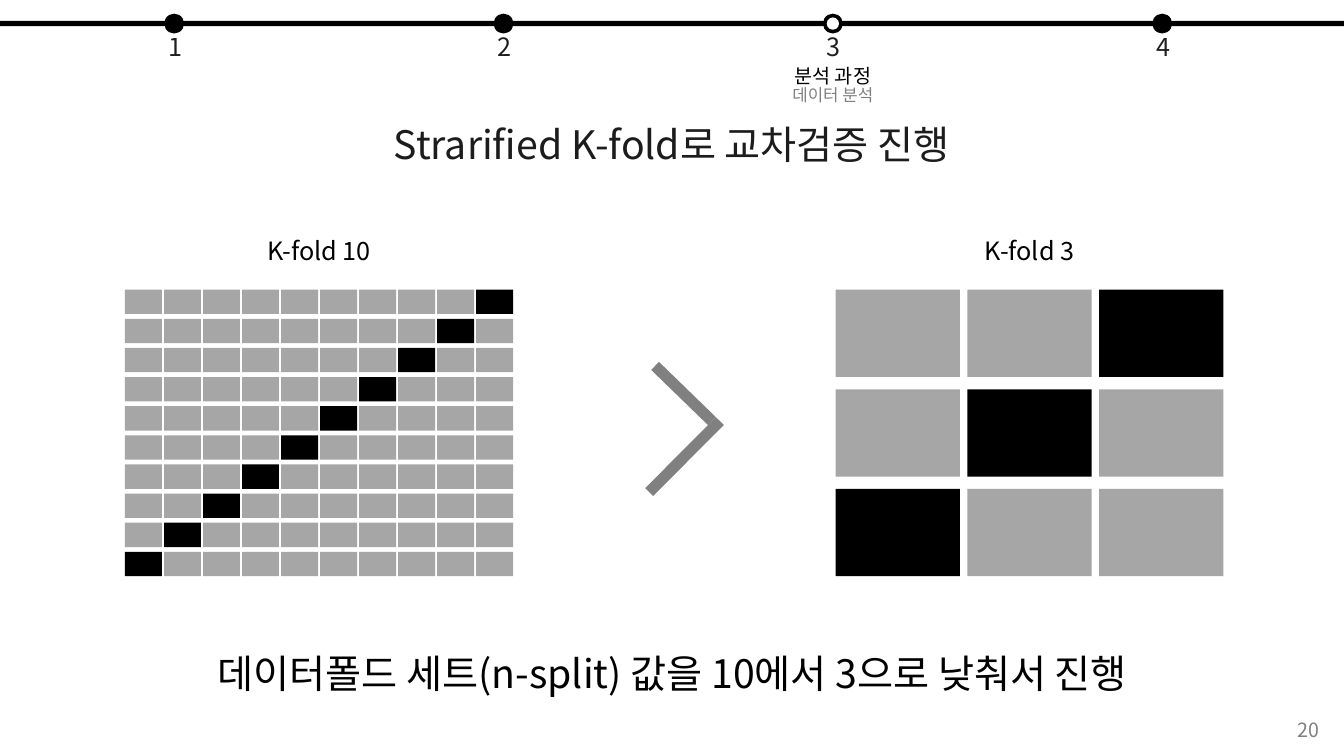
from dataclasses import dataclass
from typing import NamedTuple

from lxml import etree
from pptx import Presentation
from pptx.dml.color import RGBColor
from pptx.enum.shapes import MSO_CONNECTOR, MSO_SHAPE
from pptx.enum.text import MSO_ANCHOR, MSO_AUTO_SIZE, PP_ALIGN
from pptx.oxml.ns import qn
from pptx.util import Cm, Pt

RECTANGLE, OVAL = MSO_SHAPE.RECTANGLE, MSO_SHAPE.OVAL
STRAIGHT = MSO_CONNECTOR.STRAIGHT
MIDDLE = MSO_ANCHOR.MIDDLE
GROW = MSO_AUTO_SIZE.SHAPE_TO_FIT_TEXT
CENTER, RIGHT = PP_ALIGN.CENTER, PP_ALIGN.RIGHT
TITLE_ONLY = 5


@dataclass(frozen=True)
class Theme:
    font: str = "Noto Sans CJK KR"
    black: str = "000000"
    white: str = "FFFFFF"
    title_ink: str = "1D1C1D"
    muted: str = "808080"
    train: str = "A6A6A6"
    headline: int = 28
    label: int = 18
    small: int = 14
    tiny: int = 12


class Box(NamedTuple):
    left: float
    top: float
    width: float
    height: float

    def lengths(self):
        return [Cm(value) for value in self]


THEME = Theme()


def write_text(holder, text, size=THEME.label, color=THEME.black, align=CENTER,
               wrap=True, alpha=None):
    frame = holder.text_frame
    frame.word_wrap = wrap
    frame.auto_size = GROW
    frame.vertical_anchor = MIDDLE
    para = frame.paragraphs[0]
    para.alignment = align
    span = para.add_run()
    span.text = text
    span.font.size = Pt(size)
    span.font.name = THEME.font
    span.font.color.rgb = RGBColor.from_string(color)
    properties = span.font._element
    etree.SubElement(properties, qn("a:ea"), typeface=THEME.font)
    if alpha is not None:
        tint = properties.find(".//" + qn("a:srgbClr"))
        etree.SubElement(tint, qn("a:alpha"), val=str(alpha * 1000))


def add_text(page, box, text, **formatting):
    write_text(page.shapes.add_textbox(*box.lengths()), text, **formatting)


def add_filled(page, kind, box, color):
    shape = page.shapes.add_shape(kind, *box.lengths())
    shape.shadow.inherit = False
    shape.fill.solid()
    shape.fill.fore_color.rgb = RGBColor.from_string(color)
    shape.line.fill.background()


def add_dot(page, center_x, center_y, size, color):
    box = Box(center_x - size / 2, center_y - size / 2, size, size)
    add_filled(page, OVAL, box, color)


def add_progress(page, box, current, section, topic):
    first, step = 4.39, 8.3
    center_y = box.top + box.height / 2
    add_filled(page, RECTANGLE, box, THEME.black)
    for number in range(1, 5):
        center_x = box.left + first + (number - 1) * step
        add_dot(page, center_x, center_y, 0.5, THEME.black)
        add_text(page, Box(center_x - 0.4, center_y + 0.07, 0.8, 1.02),
                 str(number), wrap=False, alpha=87)
        if number == current:
            add_dot(page, center_x, center_y, 0.31, THEME.white)
            add_text(page, Box(center_x - 1.35, center_y + 0.88, 2.7, 0.86),
                     section, size=THEME.small, wrap=False)
            add_text(page, Box(center_x - 1.35, center_y + 1.41, 2.7, 0.76),
                     topic, size=THEME.tiny, color=THEME.muted, wrap=False)


def add_fold_grid(page, box, folds, column_gap, row_gap):
    caption_width = 4.65
    add_text(page, Box(box.left + (box.width - caption_width) / 2, box.top - 1.5,
                       caption_width, 1.02), f"K-fold {folds}")
    width = (box.width - (folds - 1) * column_gap) / folds
    height = (box.height - (folds - 1) * row_gap) / folds
    for row in range(folds):
        for column in range(folds):
            held_out = row + column == folds - 1
            cell = Box(box.left + column * (width + column_gap),
                       box.top + row * (height + row_gap), width, height)
            add_filled(page, RECTANGLE, cell,
                       THEME.black if held_out else THEME.train)


def add_chevron(page, box):
    right, bottom = box.left + box.width, box.top + box.height
    middle = box.top + 1.39
    strokes = [(box.left + 0.15, box.top, right - 0.2, middle),
               (box.left, bottom, right, middle)]
    for stroke in strokes:
        line = page.shapes.add_connector(STRAIGHT, *[Cm(value) for value in stroke])
        line.line.color.rgb = RGBColor.from_string(THEME.muted)
        line.line.width = Pt(8)
        etree.SubElement(line._element.spPr, qn("a:effectLst"))


def add_title(page, box, text):
    title = page.shapes.title
    title.left, title.top, title.width, title.height = box.lengths()
    write_text(title, text, size=THEME.headline, color=THEME.title_ink)


def build_fold_slide(deck):
    page = deck.slides.add_slide(deck.slide_layouts[TITLE_ONLY])
    add_progress(page, Box(0, 0.53, 33.87, 0.13), 3, "분석 과정", "데이터 분석")
    add_title(page, Box(2.13, 2.9, 29.6, 1.45), "Strarified K-fold로 교차검증 진행")
    add_fold_grid(page, Box(3.15, 7.3, 9.78, 7.22), 10, 0.05, 0.12)
    add_fold_grid(page, Box(21.06, 7.3, 9.77, 7.22), 3, 0.19, 0.31)
    add_chevron(page, Box(16.36, 9.22, 1.78, 3.18))
    add_text(page, Box(2.72, 16.23, 28.45, 1.45),
             "데이터폴드 세트(n-split) 값을 10에서 3으로 낮춰서 진행", size=THEME.headline)
    add_text(page, Box(32.11, 17.96, 1.4, 0.86), "20", size=THEME.small,
             color=THEME.muted, align=RIGHT)


def main():
    deck = Presentation()
    deck.slide_width, deck.slide_height = Cm(33.87), Cm(19.05)
    build_fold_slide(deck)
    deck.save("out.pptx")


if __name__ == "__main__":
    main()
